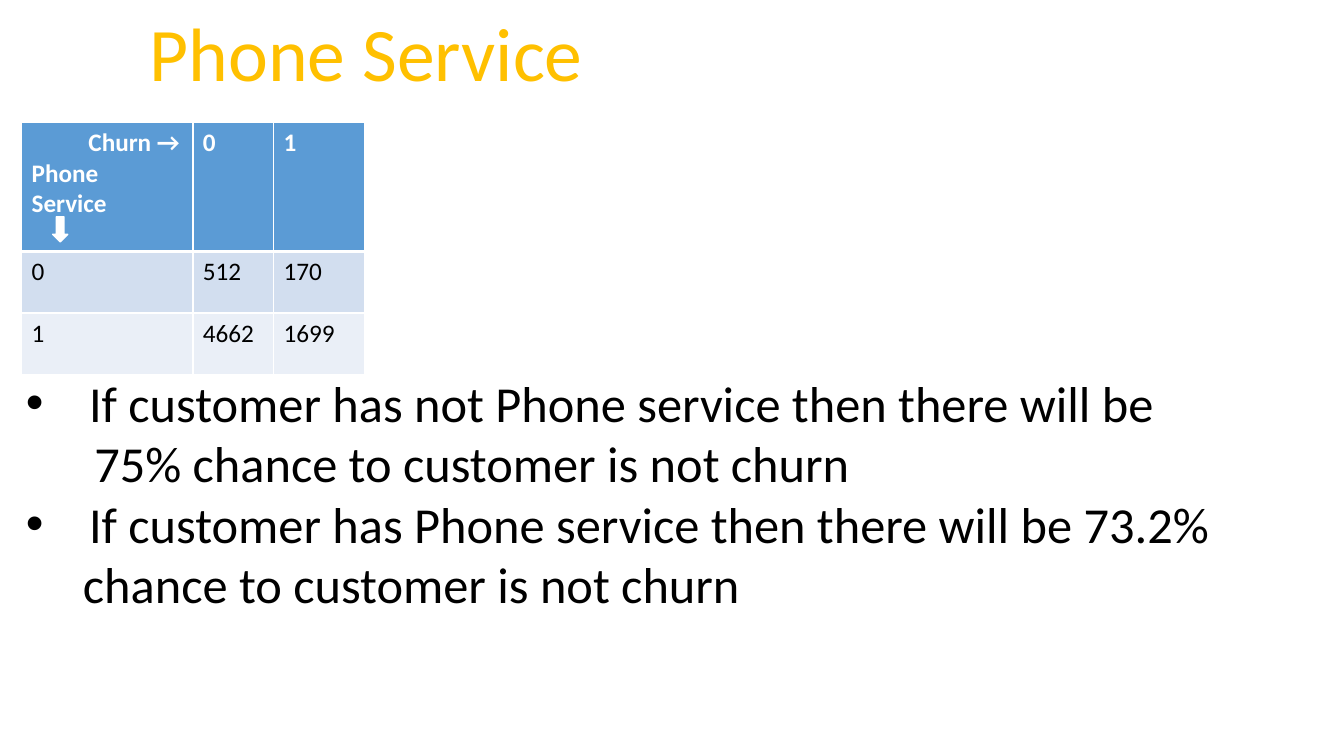
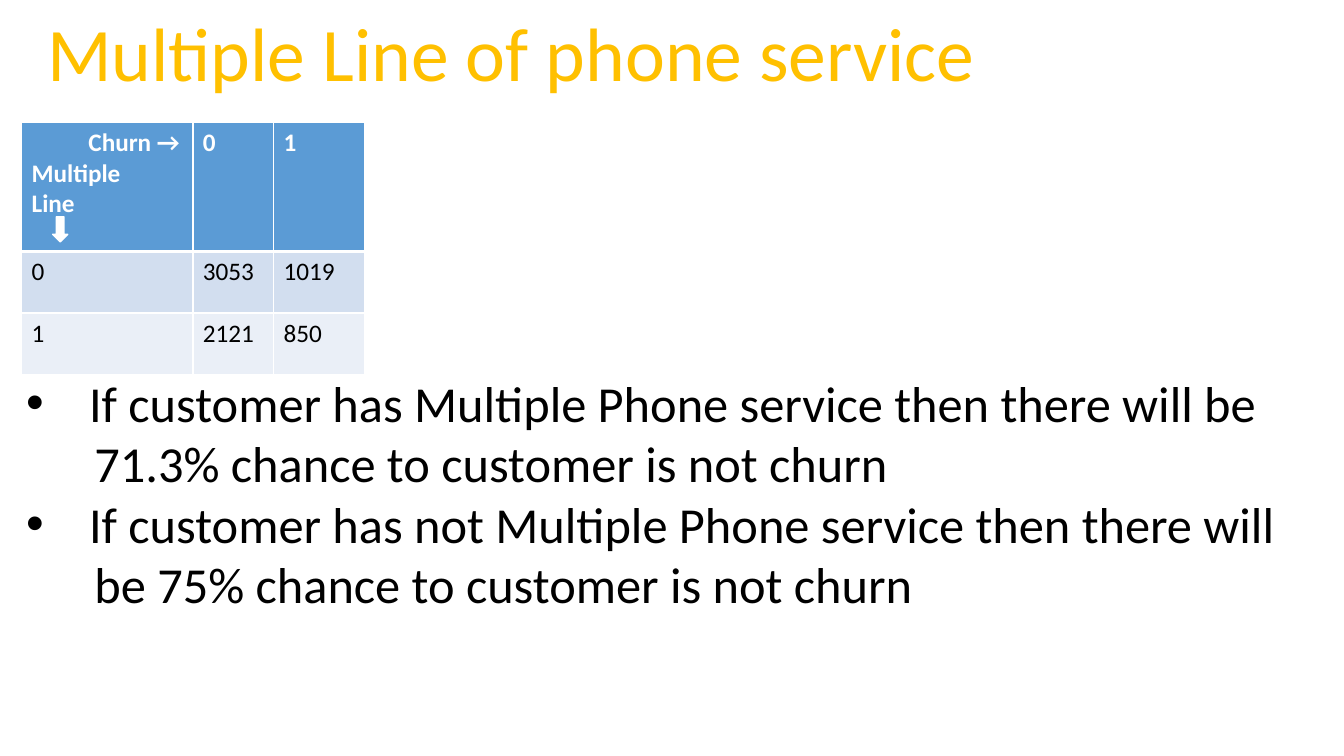
import pptx
import pptx.util
import pptx.dml.color
import pptx.enum.shapes
import pptx.enum.text
import pptx.oxml
import pptx.oxml.ns
import lxml.etree

Pt = pptx.util.Pt
RGBColor = pptx.dml.color.RGBColor
ALIGN = pptx.enum.text.PP_ALIGN
SHAPE = pptx.enum.shapes.MSO_SHAPE
qn = pptx.oxml.ns.qn

FONT = "Calibri"
WHITE = RGBColor(0xFF, 0xFF, 0xFF)
BLACK = RGBColor(0, 0, 0)
GOLD = RGBColor(0xFF, 0xC0, 0x00)
BLUE = RGBColor(0x5B, 0x9B, 0xD5)
ROW_FILLS = [BLUE, RGBColor(0xD2, 0xDE, 0xEF), RGBColor(0xEA, 0xEF, 0xF7)]
COL_WIDTHS = [122.4, 57.6, 64.8]
ROW_HEIGHTS = [92.4, 43.9, 43.9]


def style(p, size, color, bold=False):
    for r in p.runs:
        r.font.name = FONT
        r.font.size = Pt(size)
        r.font.bold = bold
        r.font.color.rgb = color


def indent(p, left, first=0):
    pPr = p._p.get_or_add_pPr()
    pPr.set("marL", str(Pt(left)))
    pPr.set("indent", str(Pt(first)))
    return pPr


def add_bullet(p):
    pPr = indent(p, 45, -45)
    font = lxml.etree.SubElement(pPr, qn("a:buFont"))
    font.set("typeface", "Arial")
    lxml.etree.SubElement(pPr, qn("a:buChar")).set("char", "•")


def add_title(s, text, width, align):
    sp = s.shapes.add_shape(SHAPE.RECTANGLE, Pt(26.6), Pt(0), Pt(width), Pt(72.7))
    sp.shadow.inherit = False
    sp.fill.solid()
    sp.fill.fore_color.rgb = WHITE
    sp.line.fill.background()
    tf = sp.text_frame
    tf.word_wrap = True
    tf.vertical_anchor = pptx.enum.text.MSO_ANCHOR.MIDDLE
    tf.text = text
    p = tf.paragraphs[0]
    p.alignment = align
    style(p, 54, GOLD)


def add_borders(cell, top, bottom):
    tcPr = cell._tc.get_or_add_tcPr()
    for side, width in (("L", 1), ("R", 1), ("T", top), ("B", bottom)):
        ln = lxml.etree.SubElement(tcPr, qn("a:ln" + side))
        ln.set("w", str(Pt(width)))
        fill = lxml.etree.SubElement(ln, qn("a:solidFill"))
        lxml.etree.SubElement(fill, qn("a:srgbClr")).set("val", str(WHITE))


def add_churn_table(s, feature, counts):
    rows = [["Churn →\n" + feature, "0", "1"], ["0", *counts[0]], ["1", *counts[1]]]
    frame = s.shapes.add_table(3, 3, Pt(15.4), Pt(87.3),
                               Pt(sum(COL_WIDTHS)), Pt(sum(ROW_HEIGHTS)))
    table = frame.table
    for column, width in zip(table.columns, COL_WIDTHS):
        column.width = Pt(width)
    for i, row in enumerate(rows):
        table.rows[i].height = Pt(ROW_HEIGHTS[i])
        header = i == 0
        for j, text in enumerate(row):
            cell = table.cell(i, j)
            add_borders(cell, 3 if i == 1 else 1, 3 if header else 1)
            cell.fill.solid()
            cell.fill.fore_color.rgb = ROW_FILLS[i]
            cell.text_frame.text = text
            for p in cell.text_frame.paragraphs:
                style(p, 18, WHITE if header else BLACK, header)
    indent(table.cell(0, 0).text_frame.paragraphs[0], 40.6)


def add_down_arrow(s):
    sp = s.shapes.add_shape(SHAPE.DOWN_ARROW, Pt(37.6), Pt(154.8), Pt(10.8), Pt(18))
    sp.shadow.inherit = False
    sp.fill.solid()
    sp.fill.fore_color.rgb = WHITE
    sp.line.color.rgb = WHITE
    sp.line.width = Pt(1)


def add_findings(s, findings, width):
    sp = s.shapes.add_textbox(Pt(11.5), Pt(262.1), Pt(width), Pt(181.4))
    tf = sp.text_frame
    tf.word_wrap = True
    tf.text = "\n".join(f"{first}\n{rest}" for first, rest, _ in findings)
    for k, (_, _, rest_indent) in enumerate(findings):
        add_bullet(tf.paragraphs[2 * k])
        indent(tf.paragraphs[2 * k + 1], rest_indent)
    for p in tf.paragraphs:
        style(p, 36, BLACK)


def add_churn_slide(prs, title, title_width, align, feature, counts, findings, width):
    s = prs.slides.add_slide(prs.slide_layouts[6])
    add_title(s, title, title_width, align)
    add_churn_table(s, feature, counts)
    add_down_arrow(s)
    add_findings(s, findings, width)


def main():
    prs = pptx.Presentation()
    prs.slide_width = Pt(960)
    prs.slide_height = Pt(540)
    add_churn_slide(
        prs, "Phone Service", 470.2, ALIGN.CENTER, "Phone\nService",
        [["512", "170"], ["4662", "1699"]],
        [("If customer has not Phone service then there will be",
          "75% chance to customer is not churn", 48.8),
         ("If customer has Phone service then there will be 73.2%",
          "chance to customer is not churn", 40.7)], 876.2)
    add_churn_slide(
        prs, "Multiple Line of phone service", 693.4, ALIGN.LEFT, "Multiple\nLine",
        [["3053", "1019"], ["2121", "850"]],
        [("If customer has Multiple Phone service then there will be",
          "71.3% chance to customer is not churn", 48.8),
         ("If customer has not Multiple Phone service then there will",
          "be 75% chance to customer is not churn", 48.8)], 923)
    prs.save("out.pptx")


main()
